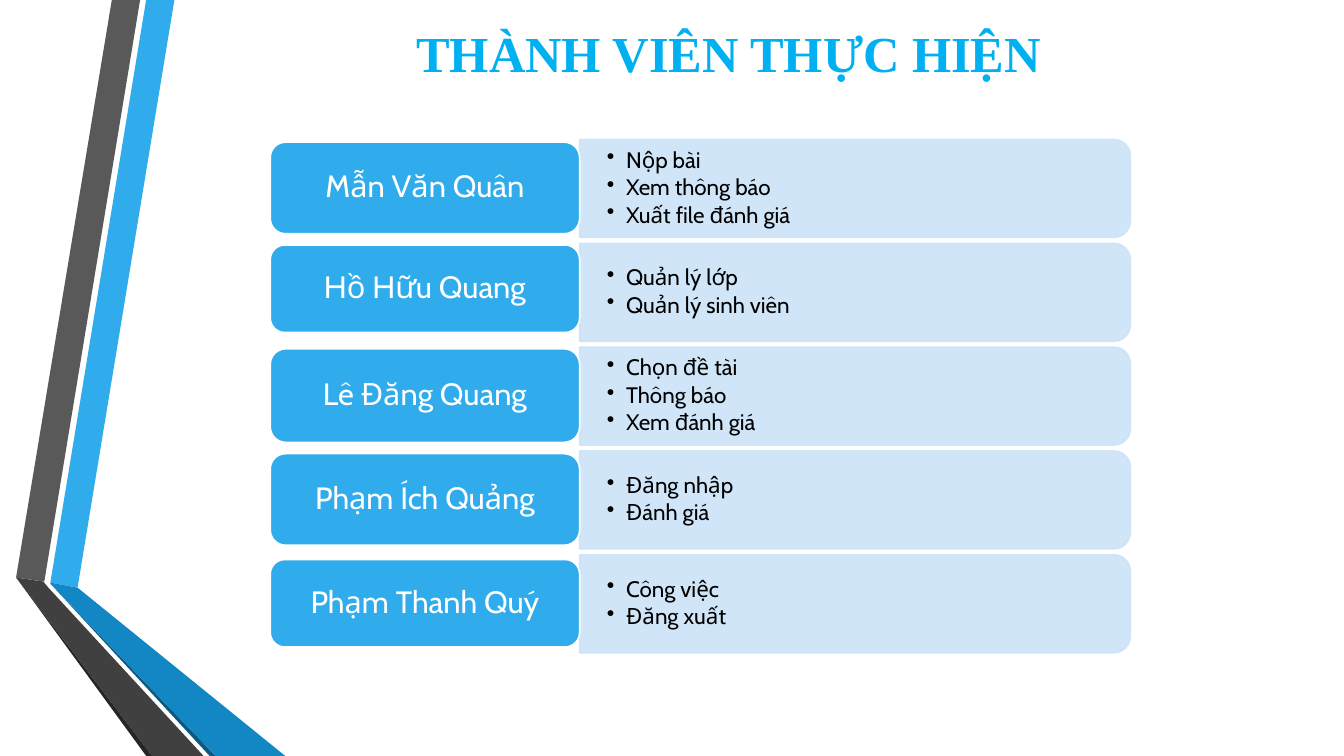
from dataclasses import dataclass

from lxml import etree
from pptx import Presentation
from pptx.dml.color import RGBColor
from pptx.enum import shapes, text
from pptx.oxml import ns
from pptx.util import Inches, Pt


@dataclass(frozen=True)
class Theme:
    title_color: str = "00B0F0"
    card: str = "30ACEC"
    panel: str = "CDE3F8"
    white: str = "FFFFFF"
    black: str = "000000"
    title_font: str = "Times New Roman"
    body_font: str = "Cabin"
    title_size: int = 36
    name_size: int = 22
    task_size: int = 16
    border: float = 1.25
    panel_alpha: int = 90000


THEME = Theme()

RIBBONS = [
    ("30ACEC", [(0.5, 5.78), (0.77, 5.83), (1.73, 0), (1.45, 0)]),
    ("595959", [(1.39, 0), (1.11, 0), (0.16, 5.73), (0.44, 5.77)]),
    ("262626", [(0.16, 5.73), (1.45, 7.5), (1.51, 7.5)]),
    ("0C5A82", [(0.5, 5.79), (2.08, 7.5), (2.14, 7.5)]),
    ("1287C3", [(0.5, 5.79), (2.14, 7.5), (2.83, 7.5), (0.77, 5.83), (0.5, 5.78)]),
    ("404040", [(2.02, 7.5), (0.48, 5.83), (0.43, 5.77), (0.16, 5.73), (1.51, 7.5)]),
]

# Name, card top, card height, tasks
MEMBERS = [
    ("Mẫn Văn Quân", 1.41, 0.91, ["Nộp bài", "Xem thông báo", "Xuất file đánh giá"]),
    ("Hồ Hữu Quang", 2.43, 0.87, ["Quản lý lớp", "Quản lý sinh viên"]),
    ("Lê Đăng Quang", 3.46, 0.93, ["Chọn đề tài", "Thông báo", "Xem đánh giá"]),
    ("Phạm Ích Quảng", 4.5, 0.91, ["Đăng nhập", "Đánh giá"]),
    ("Phạm Thanh Quý", 5.55, 0.87, ["Công việc", "Đăng xuất"]),
]
CARD_LEFT, CARD_WIDTH = 2.68, 3.07
PANEL_LEFT, PANEL_LENGTH, PANEL_HEIGHT = 5.75, 5.46, 0.97
FIRST_CENTER, ROW_PITCH = 1.87, 1.03
TASKS_WIDTH, TASKS_HEIGHT = 5.42, 0.87


def paint(shape, fill, line=None):
    shape.shadow.inherit = False
    shape.fill.solid()
    shape.fill.fore_color.rgb = RGBColor.from_string(fill)
    if line:
        shape.line.color.rgb = RGBColor.from_string(line)
        shape.line.width = Pt(THEME.border)
    else:
        shape.line.fill.background()


def write(frame, lines, font, size, color, inset=(0.1, 0.05), bold=False, **spacing):
    """Fill a text frame, one paragraph a line, and return the paragraphs."""
    across, down = map(Inches, inset)
    frame_format = {
        "word_wrap": True,
        "vertical_anchor": text.MSO_ANCHOR.MIDDLE,
        "margin_left": across,
        "margin_right": across,
        "margin_top": down,
        "margin_bottom": down,
    }
    for key, value in frame_format.items():
        setattr(frame, key, value)
    frame.text = "\n".join(lines)
    for paragraph in frame.paragraphs:
        for key, value in spacing.items():
            setattr(paragraph, key, value)
        run_font = paragraph.runs[0].font
        for key, value in {"name": font, "size": Pt(size), "bold": bold}.items():
            setattr(run_font, key, value)
        run_font.color.rgb = RGBColor.from_string(color)
    return frame.paragraphs


def add_ribbon(slide, color, points):
    corners = [(Inches(x), Inches(y)) for x, y in points]
    outline = slide.shapes.build_freeform(*corners[0])
    outline.add_line_segments(corners[1:], close=True)
    paint(outline.convert_to_shape(), color)


def add_title(slide, wording):
    title = slide.shapes.add_textbox(Inches(2.68), Inches(0.07), Inches(9.1), Inches(0.9))
    write(title.text_frame, [wording], THEME.title_font, THEME.title_size,
          THEME.title_color, bold=True, alignment=text.PP_ALIGN.CENTER)


def add_panel(slide, center):
    """Add a translucent bar, turned so that its rounded end is on the right."""
    panel = slide.shapes.add_shape(
        shapes.MSO_SHAPE.ROUND_2_SAME_RECTANGLE,
        Inches(PANEL_LEFT + (PANEL_LENGTH - PANEL_HEIGHT) / 2),
        Inches(center - PANEL_LENGTH / 2),
        Inches(PANEL_HEIGHT), Inches(PANEL_LENGTH))
    panel.rotation = 90
    paint(panel, THEME.panel, THEME.panel)
    for color in panel.element.spPr.iter(ns.qn("a:srgbClr")):
        etree.SubElement(color, ns.qn("a:alpha"), val=str(THEME.panel_alpha))


def add_tasks(slide, center, tasks):
    box = slide.shapes.add_textbox(
        Inches(PANEL_LEFT), Inches(center - TASKS_HEIGHT / 2),
        Inches(TASKS_WIDTH), Inches(TASKS_HEIGHT))
    paragraphs = write(box.text_frame, tasks, THEME.body_font, THEME.task_size,
                       THEME.black, inset=(0.27, 0.14), line_spacing=0.9,
                       space_after=Pt(0.15 * THEME.task_size))
    indent = Inches(0.19)
    for paragraph in paragraphs:
        properties = paragraph._p.get_or_add_pPr()
        properties.set("marL", str(indent))
        properties.set("indent", str(-indent))
        etree.SubElement(properties, ns.qn("a:buChar"), char="•")


def add_name_card(slide, name, top, height):
    card = slide.shapes.add_shape(
        shapes.MSO_SHAPE.ROUNDED_RECTANGLE,
        Inches(CARD_LEFT), Inches(top), Inches(CARD_WIDTH), Inches(height))
    paint(card, THEME.card, THEME.white)
    write(card.text_frame, [name], THEME.body_font, THEME.name_size, THEME.white,
          alignment=text.PP_ALIGN.CENTER, line_spacing=0.9)


def main():
    deck = Presentation()
    deck.slide_width, deck.slide_height = Inches(13.33), Inches(7.5)
    slide = deck.slides.add_slide(deck.slide_layouts[6])
    for color, points in RIBBONS:
        add_ribbon(slide, color, points)
    add_title(slide, "THÀNH VIÊN THỰC HIỆN")
    for row, (name, top, height, tasks) in enumerate(MEMBERS):
        center = FIRST_CENTER + row * ROW_PITCH
        add_panel(slide, center)
        add_tasks(slide, center, tasks)
        add_name_card(slide, name, top, height)
    deck.save("out.pptx")


if __name__ == "__main__":
    main()
